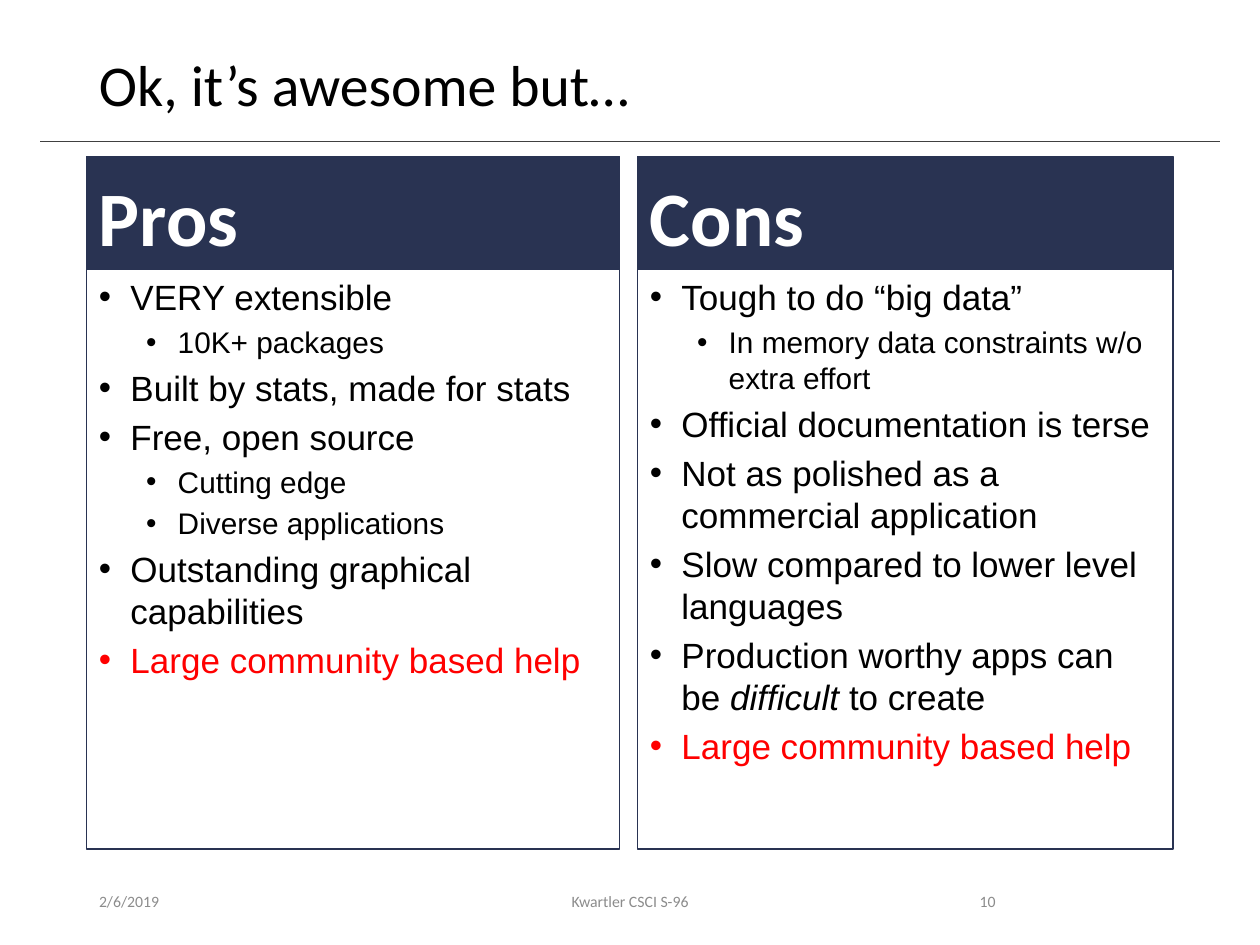
from lxml import etree
from pptx import Presentation
from pptx.dml.color import RGBColor
from pptx.enum.shapes import MSO_CONNECTOR, MSO_SHAPE
from pptx.enum.text import MSO_ANCHOR, PP_ALIGN
from pptx.oxml.ns import qn
from pptx.util import Pt

STRAIGHT = MSO_CONNECTOR.STRAIGHT
RECTANGLE = MSO_SHAPE.RECTANGLE
TOP, MIDDLE, BOTTOM = MSO_ANCHOR.TOP, MSO_ANCHOR.MIDDLE, MSO_ANCHOR.BOTTOM
LEFT, CENTER, RIGHT = PP_ALIGN.LEFT, PP_ALIGN.CENTER, PP_ALIGN.RIGHT

BLACK, WHITE, RED = "000000", "FFFFFF", "FF0000"
NAVY, GRAY, RULE = "293352", "8C8C8C", "404040"

MARGIN = 49.5
HEADER_TOP, HEADER_HEIGHT, LIST_HEIGHT = 89.3, 64.8, 331
FOOTER_TOP, FOOTER_HEIGHT = 500.5, 28.75
LEVEL_SIZES = (20, 17)
LEVEL_INDENTS = (18, 45)
HANGING = 18

# Each list item: level, colour, then (text, italic) spans
PROS = [
    (0, BLACK, [("VERY extensible", False)]),
    (1, BLACK, [("10K+ packages", False)]),
    (0, BLACK, [("Built by stats, made for stats", False)]),
    (0, BLACK, [("Free, open source", False)]),
    (1, BLACK, [("Cutting edge", False)]),
    (1, BLACK, [("Diverse applications", False)]),
    (0, BLACK, [("Outstanding graphical capabilities", False)]),
    (0, RED, [("Large community based help", False)]),
]
CONS = [
    (0, BLACK, [("Tough to do “big data”", False)]),
    (1, BLACK, [("In memory data constraints w/o extra effort", False)]),
    (0, BLACK, [("Official documentation is terse", False)]),
    (0, BLACK, [("Not as polished as a commercial application", False)]),
    (0, BLACK, [("Slow compared to lower level languages", False)]),
    (0, BLACK, [("Production worthy apps can be ", False), ("difficult", True),
                (" to create", False)]),
    (0, RED, [("Large community based help", False)]),
]
COLUMNS = [("Pros", PROS, MARGIN, 304.6), ("Cons", CONS, 364.3, 306)]
FOOTERS = [
    ("2/6/2019", MARGIN, 162, LEFT),
    ("Kwartler CSCI S-96", 238.5, 243, CENTER),
    ("10", 508.5, 67.5, RIGHT),
]


def color(value):
    return RGBColor.from_string(value)


class SlideBuilder:
    heading_font = "Calibri"
    body_font = "Arial"

    def __init__(self, page):
        self.page = page

    def style(self, span, font, size, ink, bold=False, italic=False):
        span.font.name = font
        span.font.size = Pt(size)
        span.font.bold = bold
        span.font.italic = italic
        span.font.color.rgb = color(ink)

    def rule(self, left, right, y):
        line = self.page.shapes.add_connector(
            STRAIGHT, Pt(left), Pt(y), Pt(right), Pt(y))
        line.line.color.rgb = color(RULE)
        line.line.width = Pt(0.5)
        etree.SubElement(line._element.spPr, qn("a:effectLst"))

    def panel(self, left, top, width, height, fill=None):
        box = self.page.shapes.add_shape(
            RECTANGLE, Pt(left), Pt(top), Pt(width), Pt(height))
        box.shadow.inherit = False
        if fill:
            box.fill.solid()
            box.fill.fore_color.rgb = color(fill)
        else:
            box.fill.background()
        box.line.color.rgb = color(NAVY)
        box.line.width = Pt(0.75)
        return box

    def set_text(self, box, text, size, ink, anchor, align=LEFT, bold=False):
        """Fill a box with one paragraph in the heading font."""
        frame = box.text_frame
        frame.word_wrap = True
        frame.vertical_anchor = anchor
        frame.text = text
        para = frame.paragraphs[0]
        para.alignment = align
        self.style(para.runs[0], self.heading_font, size, ink, bold)
        return para

    def label(self, text, left, top, width, height, size, ink, anchor, align=LEFT):
        box = self.page.shapes.add_textbox(Pt(left), Pt(top), Pt(width), Pt(height))
        return self.set_text(box, text, size, ink, anchor, align)

    def header(self, text, left, width):
        box = self.panel(left, HEADER_TOP, width, HEADER_HEIGHT, NAVY)
        para = self.set_text(box, text, 44, WHITE, BOTTOM, bold=True)
        para.line_spacing = 0.9
        para.space_before = Pt(7.5)

    def bullet_list(self, items, left, width):
        box = self.panel(left, HEADER_TOP + HEADER_HEIGHT, width, LIST_HEIGHT)
        frame = box.text_frame
        frame.word_wrap = True
        frame.vertical_anchor = TOP
        for index, (level, ink, spans) in enumerate(items):
            para = frame.add_paragraph() if index else frame.paragraphs[0]
            self.bullet(para, level)
            for text, italic in spans:
                span = para.add_run()
                span.text = text
                self.style(span, self.body_font, LEVEL_SIZES[level], ink, italic=italic)

    def bullet(self, para, level):
        para.level = level
        para.alignment = LEFT
        para.space_before = Pt(LEVEL_SIZES[level] * 0.2)
        properties = para._p.get_or_add_pPr()
        properties.set("marL", str(Pt(LEVEL_INDENTS[level])))
        properties.set("indent", str(-Pt(HANGING)))
        etree.SubElement(properties, qn("a:buFont"), typeface=self.body_font)
        etree.SubElement(properties, qn("a:buChar"), char="•")


def main():
    deck = Presentation()
    deck.slide_width, deck.slide_height = Pt(720), Pt(540)
    builder = SlideBuilder(deck.slides.add_slide(deck.slide_layouts[6]))

    builder.rule(23, 697, 80.75)
    title = builder.label("Ok, it’s awesome but…", MARGIN, 28.75, 621, 46.75,
                          33, BLACK, TOP)
    title.line_spacing = 0.9
    for heading, items, left, width in COLUMNS:
        builder.header(heading, left, width)
        builder.bullet_list(items, left, width)
    for text, left, width, align in FOOTERS:
        builder.label(text, left, FOOTER_TOP, width, FOOTER_HEIGHT,
                      9, GRAY, MIDDLE, align)

    deck.save("out.pptx")


if __name__ == "__main__":
    main()
